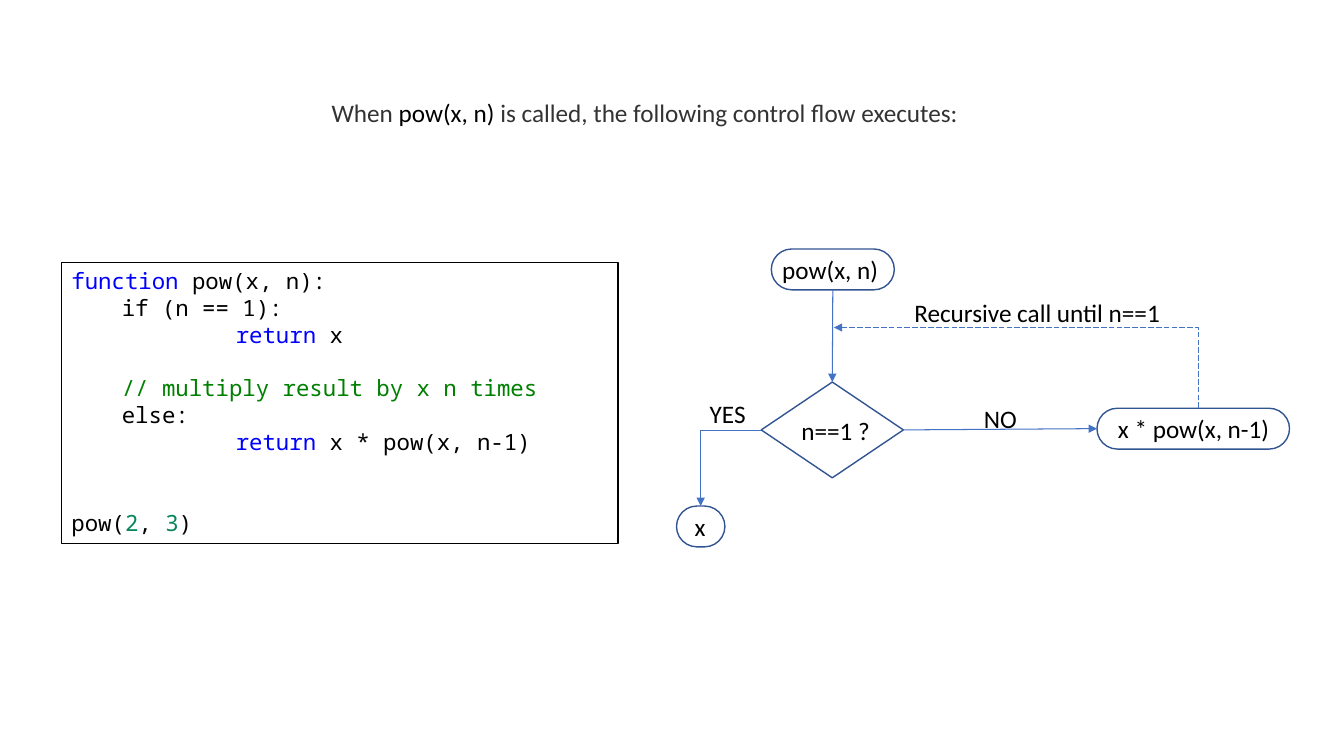
import pptx
import pptx.util
import pptx.dml.color
import pptx.enum.dml
import pptx.enum.shapes
import pptx.enum.text
import pptx.oxml
import pptx.oxml.ns

THEME = {
    "prose": {"name": "Calibri", "size": pptx.util.Pt(18)},
    "code": {"name": "Noto Sans Mono", "size": pptx.util.Pt(16)},
    "black": "000000",
    "grey": "333333",
    "keyword": "0000FF",
    "comment": "008000",
    "number": "098658",
    "outline": "325491",
    "arrow": "4472C4",
}
CELL = pptx.util.Inches(0.1)
CODE_LINE = 19.2
Shape = pptx.enum.shapes.MSO_SHAPE
Connector = pptx.enum.shapes.MSO_CONNECTOR


def write(para, spans, style):
    for text, colour in spans:
        span = para.add_run()
        span.text = text
        for key, value in THEME[style].items():
            setattr(span.font, key, value)
        span.font.color.rgb = pptx.dml.color.RGBColor.from_string(THEME[colour])


def draw_line(target, colour, width):
    target.line.color.rgb = pptx.dml.color.RGBColor.from_string(THEME[colour])
    target.line.width = pptx.util.Pt(width)


deck = pptx.Presentation()
deck.slide_width = pptx.util.Inches(13.33)
deck.slide_height = pptx.util.Inches(7.5)
page = deck.slides.add_slide(deck.slide_layouts[6])

outlines = {
    "start": (Shape.ROUNDED_RECTANGLE, (76.5, 24.7, 12.2, 4.05), "outline", 1),
    "decision": (Shape.FLOWCHART_DECISION, (75.5, 37.9, 14.1, 9.5), "outline", 1),
    "recursion": (Shape.ROUNDED_RECTANGLE, (108.8, 40.5, 19.1, 4.05), "outline", 1),
    "result": (Shape.ROUNDED_RECTANGLE, (67.1, 50.2, 4.8, 4.05), "outline", 1),
    "code": (Shape.RECTANGLE, (6.1, 26, 55.2, 27.9), "black", 0.75),
}
boxes = {}
for name, (kind, place, colour, width) in outlines.items():
    box = page.shapes.add_shape(kind, *(round(cells * CELL) for cells in place))
    box.shadow.inherit = False
    box.fill.background()
    draw_line(box, colour, width)
    if kind == Shape.ROUNDED_RECTANGLE:
        box.adjustments[0] = 0.5
    boxes[name] = box

labels = [
    ((31.9, 9.2, 72.7), [
        ("When\u00a0", "grey"),
        ("pow(x, n)", "black"),
        ("\u00a0is called, the following control flow executes:", "grey"),
    ]),
    ((76.6, 24.7, 12.2), [("pow(x, n)", "black")]),
    ((78.5, 40.7, 12.2), [("n==1 ?", "black")]),
    ((96.6, 39.5, 12.2), [("NO", "black")]),
    ((69.4, 39, 12.2), [("YES", "black")]),
    ((89.7, 29, 27.7), [("Recursive call until n==1", "black")]),
    ((109.9, 40.5, 18), [("x * pow(x, n-1)", "black")]),
    ((67.9, 50.2, 3.7), [("x", "black")]),
]
for place, spans in labels:
    label = page.shapes.add_textbox(*(round(cells * CELL) for cells in (*place, 4)))
    label.text_frame.word_wrap = True
    write(label.text_frame.paragraphs[0], spans, "prose")

code_lines = [
    (0, 0, [("function", "keyword"), (" pow(x, n):", "black")]),
    (5, 0, [("if (n == 1):", "black")]),
    (16.3, 0, [("return", "keyword"), (" x", "black")]),
    (5, 1, [("// multiply result by x n times", "comment")]),
    (5, 0, [("else:", "black")]),
    (16.3, 0, [("return ", "keyword"), ("x * pow(x, n-1)", "black")]),
    (0, 2, [("pow(", "black"), ("2", "number"), (", ", "black"),
            ("3", "number"), (")", "black")]),
]
code_frame = boxes["code"].text_frame
code_frame.word_wrap = True
code_frame.vertical_anchor = pptx.enum.text.MSO_ANCHOR.TOP
for index, (indent, gap_lines, spans) in enumerate(code_lines):
    para = code_frame.add_paragraph() if index else code_frame.paragraphs[0]
    para.alignment = pptx.enum.text.PP_ALIGN.LEFT
    para.space_before = pptx.util.Pt(gap_lines * CODE_LINE)
    para._p.get_or_add_pPr().set("marL", str(round(indent * CELL)))
    write(para, spans, "code")

arrows = [
    {"ends": (82.6, 28.75, 82.6, 37.9), "width": 0.75,
     "join": ("start", 2, "decision", 0)},
    {"ends": (89.6, 42.65, 108.8, 42.5), "width": 0.75,
     "join": ("decision", 3, "recursion", 1)},
    {"ends": (96.8, 54.6, 104.8, 18.4), "width": 0.5, "turn": 270, "dashed": True},
    {"ends": (75.5, 42.7, 69.5, 50.2), "width": 0.5, "turn": 0},
]
for arrow in arrows:
    bent = "turn" in arrow
    connector = page.shapes.add_connector(
        Connector.ELBOW if bent else Connector.STRAIGHT,
        *(round(cells * CELL) for cells in arrow["ends"]))
    draw_line(connector, "arrow", arrow["width"])
    if "dashed" in arrow:
        connector.line.dash_style = pptx.enum.dml.MSO_LINE.LONG_DASH
    if "join" in arrow:
        source, source_side, target, target_side = arrow["join"]
        connector.begin_connect(boxes[source], source_side)
        connector.end_connect(boxes[target], target_side)
    properties = connector._element.spPr
    if bent:
        properties.find(pptx.oxml.ns.qn("a:prstGeom")).set("prst", "bentConnector2")
        properties.find(pptx.oxml.ns.qn("a:xfrm")).set("rot", str(arrow["turn"] * 60000))
    head = pptx.oxml.parse_xml(
        f'<a:tailEnd {pptx.oxml.ns.nsdecls("a")} type="triangle"/>')
    connector.line._get_or_add_ln().append(head)
    properties.append(pptx.oxml.parse_xml(
        f'<a:effectLst {pptx.oxml.ns.nsdecls("a")}/>'))

deck.save("out.pptx")
